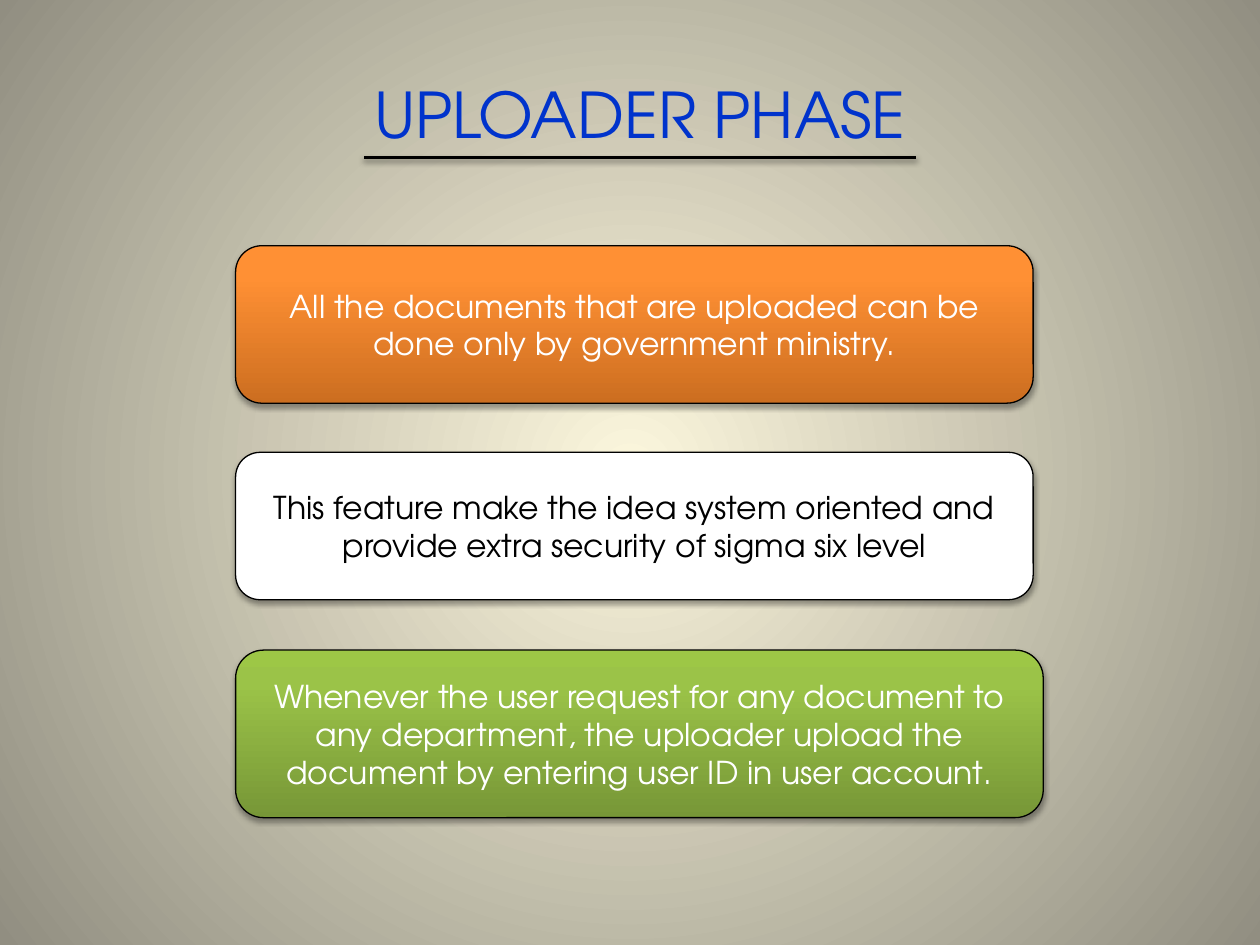
"""Build the Uploader Phase slide: a title, a rule and three rounded boxes."""
from lxml.etree import fromstring
from pptx import Presentation
from pptx.dml.color import RGBColor
from pptx.enum.shapes import MSO_CONNECTOR, MSO_SHAPE
from pptx.enum.text import MSO_ANCHOR, PP_ALIGN
from pptx.oxml.ns import nsdecls
from pptx.util import Inches, Pt

FONT = "TeX Gyre Adventor"
COLORS = {
    "title": "0033CC", "black": "000000", "white": "FFFFFF",
    "glow": "FCF7DD", "edge": "918E81",
    "orange_dark": "CC6E20", "orange": "FF9034", "orange_light": "FF9136",
    "green_dark": "779737", "green": "9BC348", "green_light": "9DC746",
}
TITLE = "UPLOADER PHASE"
BOX_LEFT = 1.87
BOXES = [
    ("All the documents that are uploaded can be done only by government ministry.",
     1.95, 6.33, 1.25, ("orange_dark", "orange", "orange_light"), "white"),
    ("This feature make the idea system oriented and provide extra security of sigma six level",
     3.59, 6.33, 1.17, ("white",), "black"),
    ("Whenever the user request for any document to any department, the uploader upload "
     "the document by entering user ID in user account.",
     5.16, 6.41, 1.33, ("green_dark", "green", "green_light"), "white"),
]
UPWARD = '<a:lin ang="16200000" scaled="0"/>'
FROM_CENTRE = ('<a:path path="circle"><a:fillToRect l="50000" t="50000" '
               'r="50000" b="50000"/></a:path>')


def rgb(name):
    return RGBColor.from_string(COLORS[name])


def apply_gradient(properties, stops, direction):
    stop_xml = "".join(
        f'<a:gs pos="{position * 1000}"><a:srgbClr val="{COLORS[name]}"/></a:gs>'
        for position, name in stops)
    gradient = fromstring(f'<a:gradFill {nsdecls("a")} rotWithShape="1">'
                          f'<a:gsLst>{stop_xml}</a:gsLst>{direction}</a:gradFill>')
    solid = properties.find("{*}solidFill")
    properties.replace(solid, gradient)


def add_shadow(properties, distance, opacity):
    for effects in properties.findall("{*}effectLst"):
        properties.remove(effects)
    properties.append(fromstring(
        f'<a:effectLst {nsdecls("a")}><a:outerShdw blurRad="{Pt(3.1)}" '
        f'dist="{Pt(distance)}" dir="5400000" rotWithShape="0">'
        f'<a:srgbClr val="{COLORS["black"]}"><a:alpha val="{opacity * 1000}"/></a:srgbClr>'
        '</a:outerShdw></a:effectLst>'))


def write_text(frame, text, size, color):
    frame.word_wrap = True
    paragraph = frame.paragraphs[0]
    paragraph.alignment = PP_ALIGN.CENTER
    run = paragraph.add_run()
    run.text = text
    run.font.size = Pt(size)
    run.font.name = FONT
    run.font.color.rgb = rgb(color)


def add_box(slide, text, top, width, height, fill_names, text_color):
    box = slide.shapes.add_shape(MSO_SHAPE.ROUNDED_RECTANGLE, Inches(BOX_LEFT),
                                 Inches(top), Inches(width), Inches(height))
    box.shadow.inherit = False
    box.fill.solid()
    box.fill.fore_color.rgb = rgb(fill_names[0])
    box.line.color.rgb = rgb("black")
    box.line.width = Pt(0.75)
    if len(fill_names) > 1:
        apply_gradient(box.element.spPr, zip((0, 80, 100), fill_names), UPWARD)
    add_shadow(box.element.spPr, 1.8, 35)
    box.text_frame.vertical_anchor = MSO_ANCHOR.MIDDLE
    write_text(box.text_frame, text, 18, text_color)


deck = Presentation()
deck.slide_width, deck.slide_height = Inches(10), Inches(7.5)
slide = deck.slides.add_slide(deck.slide_layouts[6])

backdrop = slide.background.fill
backdrop.solid()
backdrop.fore_color.rgb = rgb("glow")
apply_gradient(slide.element.find(".//{*}bgPr"), [(0, "glow"), (100, "edge")], FROM_CENTRE)

for box_content in BOXES:
    add_box(slide, *box_content)

title = slide.shapes.add_textbox(Inches(2.11), Inches(0.55), Inches(5.94), Inches(0.71))
write_text(title.text_frame, TITLE, 36, "title")

underline = slide.shapes.add_connector(MSO_CONNECTOR.STRAIGHT, Inches(2.89), Inches(1.25),
                                       Inches(7.27), Inches(1.25))
underline.line.color.rgb = rgb("black")
underline.line.width = Pt(2)
add_shadow(underline.element.spPr, 1.6, 38)

deck.save("out.pptx")
